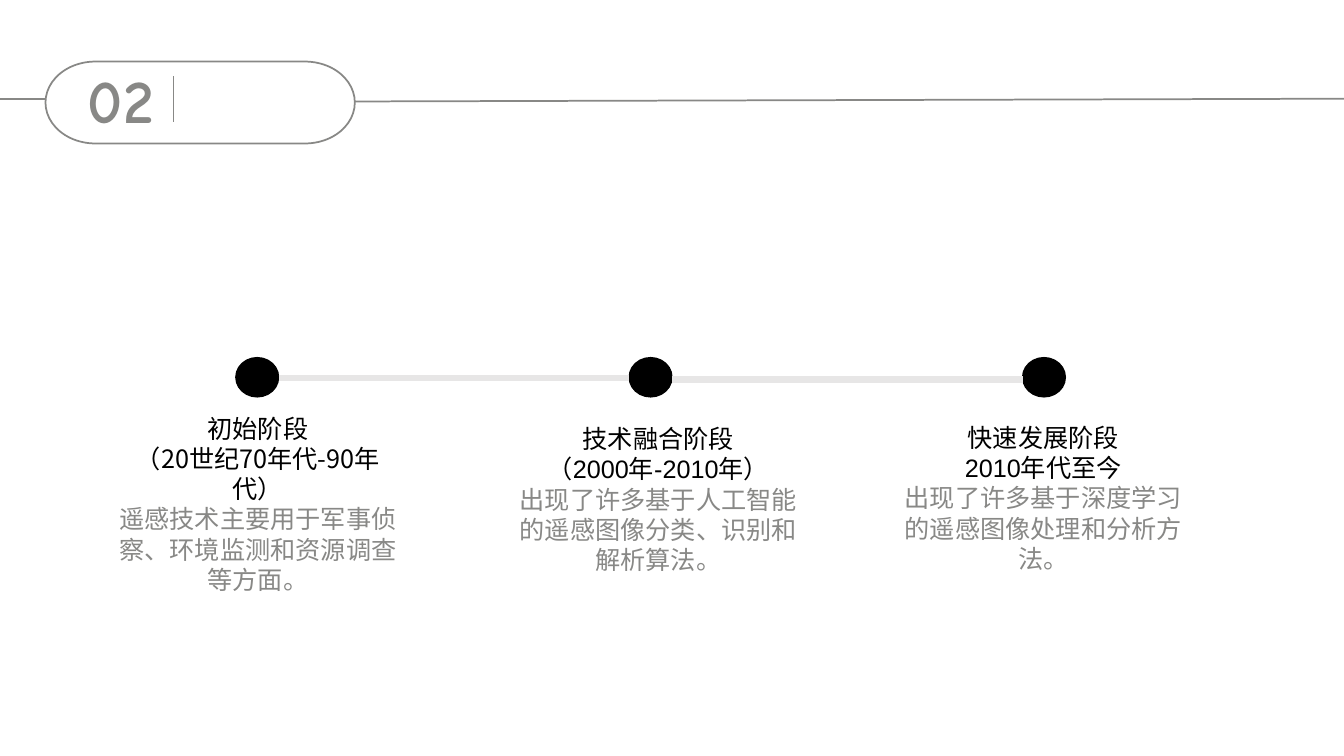
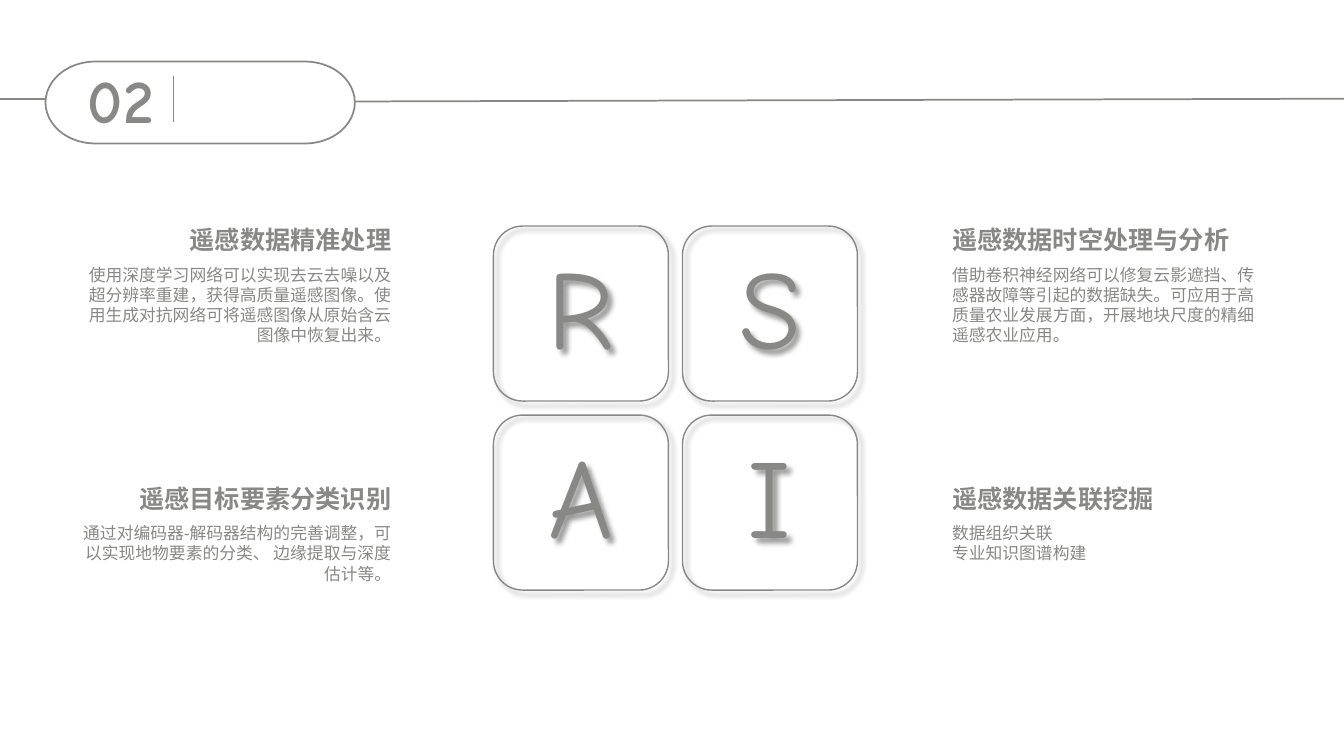
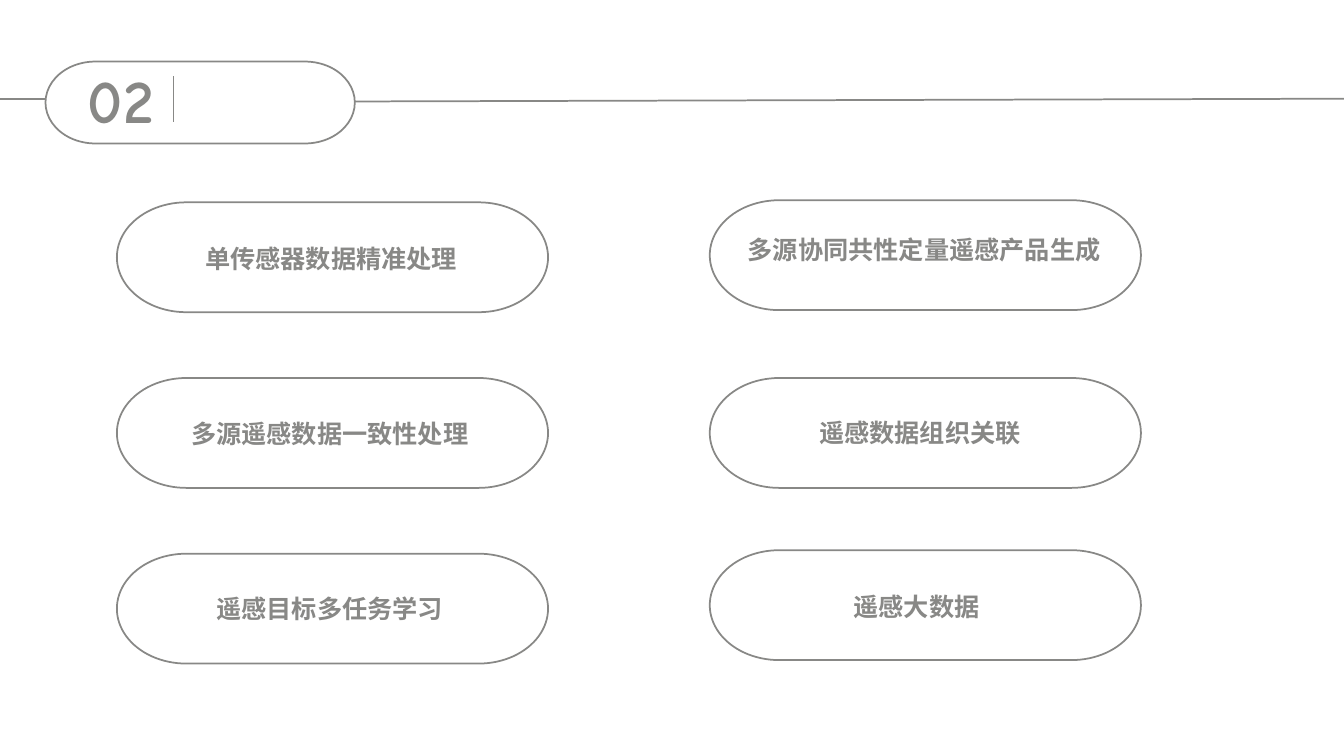
import pptx
import pptx.dml.color
import pptx.enum.lang
import pptx.enum.shapes
import pptx.enum.text
import pptx.oxml
import pptx.oxml.ns
import pptx.util

Pt = pptx.util.Pt
RGB = pptx.dml.color.RGBColor
KIND = pptx.enum.shapes.MSO_SHAPE
ALIGN = pptx.enum.text.PP_ALIGN
ANCHOR = pptx.enum.text.MSO_ANCHOR
CHINESE = pptx.enum.lang.MSO_LANGUAGE_ID.SIMPLIFIED_CHINESE

GREY = RGB(0x88, 0x88, 0x86)
PALE = RGB(0xE7, 0xE6, 0xE6)
BLACK = RGB(0, 0, 0)

LATIN = "Arial"
HAN = "Noto Sans CJK SC"
COMIC = "Comic Neue"

NS = pptx.oxml.ns.nsdecls("a")
SHADOW = (
    f'<a:effectLst {NS}><a:outerShdw blurRad="{Pt(4)}" dist="{Pt(4)}" dir="2700000" '
    'algn="tl" rotWithShape="0"><a:srgbClr val="000000"><a:alpha val="40000"/>'
    "</a:srgbClr></a:outerShdw></a:effectLst>"
)


class Deck:
    """Holds the style, the file and the slide being drawn."""

    def __init__(self):
        self.file = pptx.Presentation()
        self.file.slide_width, self.file.slide_height = Pt(960), Pt(540)
        self.base = self.file.slide_layouts[5]
        for holder in list(self.base.placeholders)[1:]:
            holder.element.getparent().remove(holder.element)
        self.slide = None

    def start(self, number):
        """Add a slide; the first one also gives the layout its band."""
        first = self.slide is None
        self.slide = self.file.slides.add_slide(self.base)
        if first:
            for part in self.band():
                self.base.shapes.element.append(part.element)
        title = self.slide.shapes.title
        title.left, title.top, title.width, title.height = Pt(55.5), Pt(40.5), Pt(85), Pt(60.5)
        title.text_frame.auto_size = pptx.enum.text.MSO_AUTO_SIZE.NONE
        title.text_frame.vertical_anchor = ANCHOR.TOP
        self.put(title.text_frame, number, 44, font=COMIC, bold=True)

    def band(self):
        return [
            self.line(253.5, 72.5, 960, 70.5),
            self.shape(KIND.FLOWCHART_TERMINATOR, 32.5, 44, 221, 58.5),
            self.line(0, 70.5, 32.5, 70.5),
            self.line(124, 87, 124, 54.5),
        ]

    def line(self, x1, y1, x2, y2, color=GREY, width=1.25):
        line = self.slide.shapes.add_connector(
            pptx.enum.shapes.MSO_CONNECTOR.STRAIGHT, Pt(x1), Pt(y1), Pt(x2), Pt(y2))
        line.line.color.rgb = color
        line.line.width = Pt(width)
        line.element.spPr.append(pptx.oxml.parse_xml(f"<a:effectLst {NS}/>"))
        return line

    def shape(self, kind, x, y, w, h, fill=None, color=GREY, width=1.25):
        shape = self.slide.shapes.add_shape(kind, Pt(x), Pt(y), Pt(w), Pt(h))
        shape.shadow.inherit = False
        if fill is None:
            shape.fill.background()
        else:
            shape.fill.solid()
            shape.fill.fore_color.rgb = fill
        shape.line.color.rgb = color
        shape.line.width = Pt(width)
        return shape

    def tile(self, x, y, side, letter):
        """Rounded square with a soft shadow and one large letter."""
        tile = self.shape(KIND.ROUNDED_RECTANGLE, x, y, side, side, width=1)
        props = tile.element.spPr
        props.remove(props.find(pptx.oxml.ns.qn("a:effectLst")))
        props.append(pptx.oxml.parse_xml(SHADOW))
        frame = tile.text_frame
        frame.margin_left = frame.margin_right = Pt(18)
        frame.margin_top = frame.margin_bottom = Pt(18)
        frame.vertical_anchor = ANCHOR.MIDDLE
        self.put(frame, letter, 80, font=COMIC, align=ALIGN.CENTER, space=0.9)

    def label(self, x, y, w, h, text, size, **style):
        box = self.slide.shapes.add_textbox(Pt(x), Pt(y), Pt(w), Pt(h))
        box.text_frame.word_wrap = True
        self.put(box.text_frame, text, size, space=Pt(1.2 * size), **style)

    def put(self, frame, text, size, font=LATIN, bold=False,
            align=ALIGN.LEFT, space=None, colors=()):
        """Fill a frame; colors, if given, has one colour for each paragraph."""
        frame.text = text
        for i, para in enumerate(frame.paragraphs):
            para.alignment = align
            para.line_spacing = space
            for run in para.runs:
                run.font.size = Pt(size)
                run.font.bold = bold
                run.font.name = font
                run.font.color.rgb = colors[i] if colors else GREY
                run.font.language_id = CHINESE
                run.font._element.append(
                    pptx.oxml.parse_xml(f'<a:ea {NS} typeface="{HAN}"/>'))


def stages(deck):
    deck.start("02")
    left, top, step, wide, high = 168.5, 255.5, 281, 30.5, 28
    for i in range(3):
        deck.shape(KIND.OVAL, left + i * step, top, wide, high, BLACK, BLACK, 1)
    for i, y in enumerate((270, 271)):
        x = left + i * step
        deck.line(x + wide, y, x + step, y, PALE, 5)
    notes = [
        (77, 291.5, HAN, "初始阶段\n（20世纪70年代-90年代）\n"
         "遥感技术主要用于军事侦察、环境监测和资源调查等方面。"),
        (363, 299, LATIN, "技术融合阶段\n（2000年-2010年）\n"
         "出现了许多基于人工智能的遥感图像分类、识别和解析算法。"),
        (638, 298, LATIN, "快速发展阶段\n2010年代至今\n"
         "出现了许多基于深度学习的遥感图像处理和分析方法。"),
    ]
    for x, y, font, text in notes:
        deck.label(x, y, 214.5, 116.5, text, 18, font=font,
                   align=ALIGN.CENTER, colors=(BLACK, BLACK, GREY))


def themes(deck):
    deck.start("02")
    for i, letter in enumerate("RSAI"):
        row, col = divmod(i, 2)
        deck.tile(352.5 + col * 135, 161.5 + row * 135, 125, letter)
    topics = [
        ("遥感数据精准处理",
         "使用深度学习网络可以实现去云去噪以及超分辨率重建，获得高质量遥感图像。"
         "使用生成对抗网络可将遥感图像从原始含云图像中恢复出来。"),
        ("遥感数据时空处理与分析",
         "借助卷积神经网络可以修复云影遮挡、传感器故障等引起的数据缺失。"
         "可应用于高质量农业发展方面，开展地块尺度的精细遥感农业应用。"),
        ("遥感目标要素分类识别",
         "通过对编码器-解码器结构的完善调整，可以实现地物要素的分类、 边缘提取与深度估计等。"),
        ("遥感数据关联挖掘", "数据组织关联\n专业知识图谱构建"),
    ]
    sides = [(44.5, ALIGN.RIGHT), (673, ALIGN.LEFT)]
    for i, (head, body) in enumerate(topics):
        row, col = divmod(i, 2)
        x, align = sides[col]
        y = 157 + row * 184.5
        deck.label(x, y, 242, 29, head, 18, bold=True, align=align)
        deck.label(x, y + 28.5, 242, 65.5, body, 12, align=align)


def tasks(deck):
    deck.start("02")
    pills = [
        (83.5, 144.5, 139.5, 170, "单传感器数据精准处理"),
        (83.5, 270, 129.5, 295, "多源遥感数据一致性处理"),
        (83.5, 395.5, 147.5, 420, "遥感目标多任务学习"),
        (507, 143, 527, 164, "多源协同共性定量遥感产品生成"),
        (507, 270, 578, 294.5, "遥感数据组织关联"),
        (507, 393, 602.5, 418.5, "遥感大数据"),
    ]
    for x, y, tx, ty, text in pills:
        deck.label(tx, ty, 18 * len(text) + 17, 29, text, 18, bold=True)
        deck.shape(KIND.FLOWCHART_TERMINATOR, x, y, 308, 78.5)


def main():
    deck = Deck()
    stages(deck)
    themes(deck)
    tasks(deck)
    deck.file.save("out.pptx")


if __name__ == "__main__":
    main()
